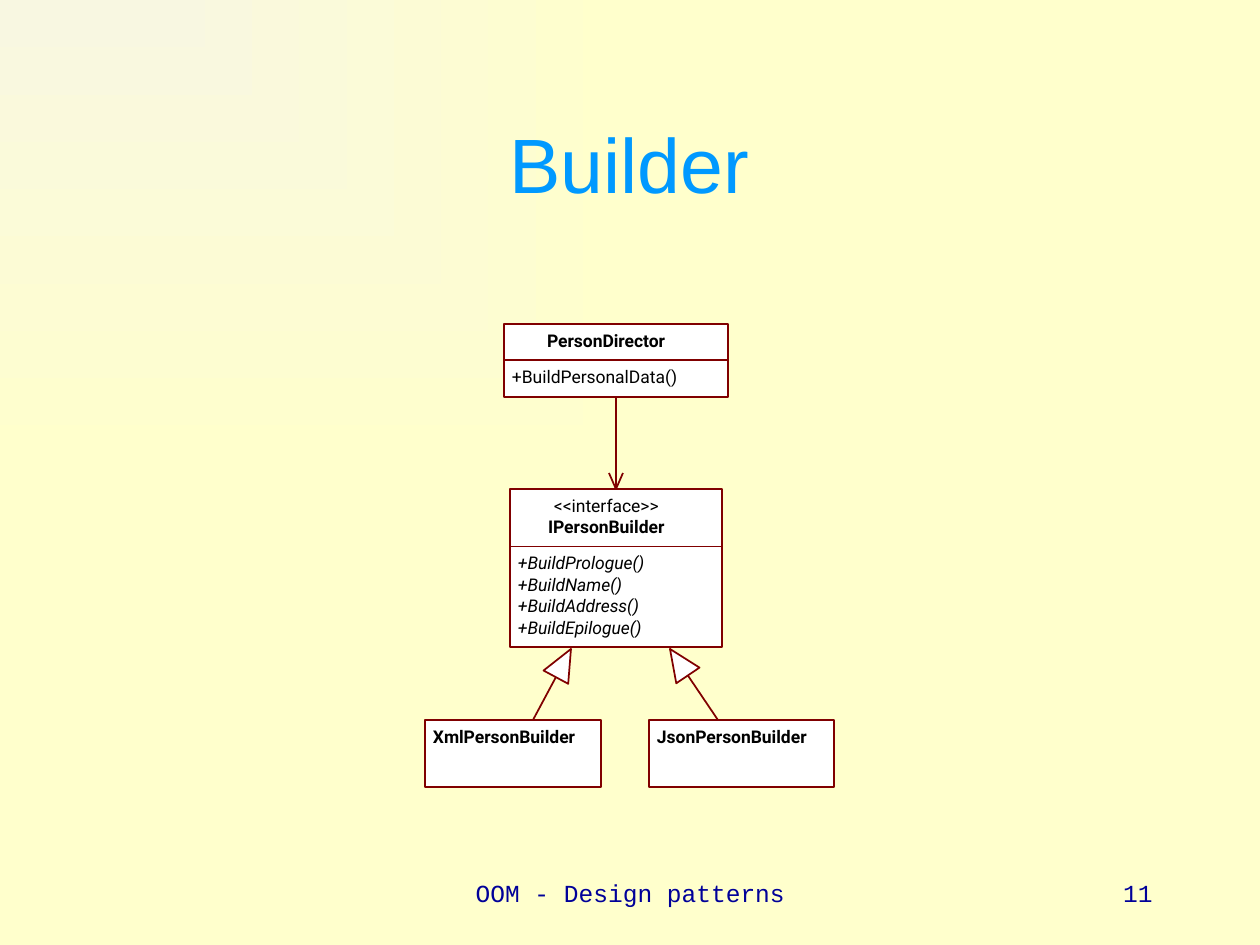
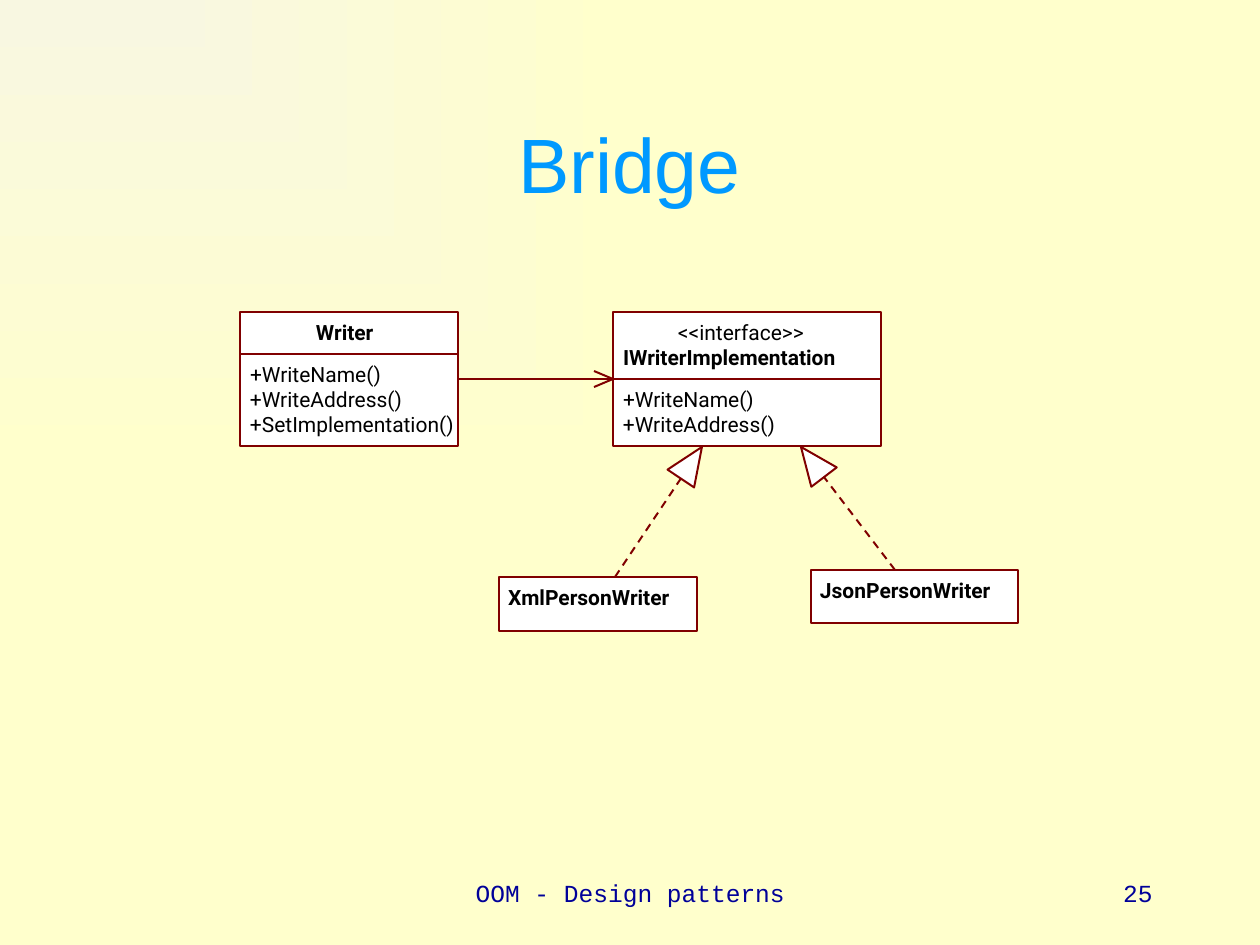
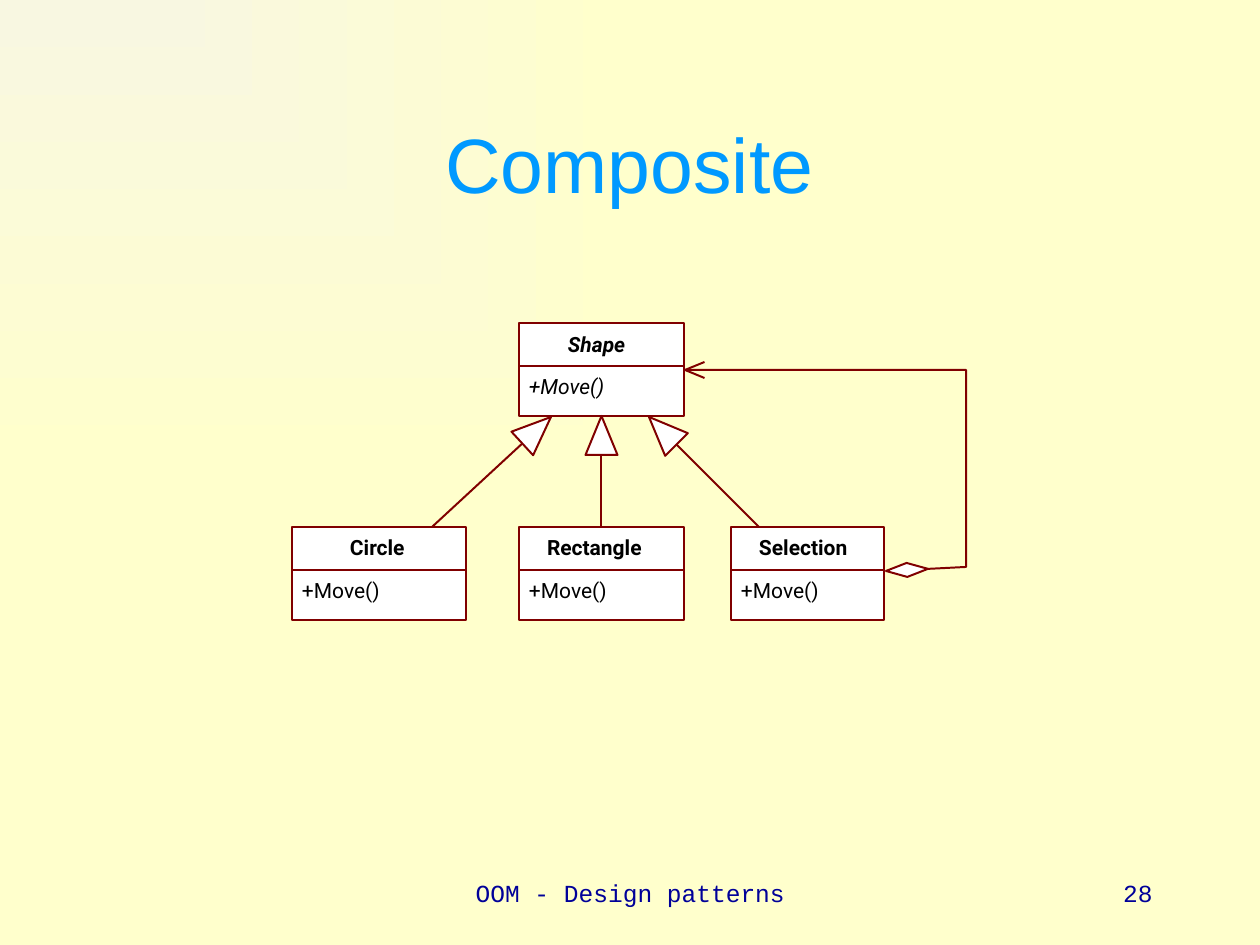
from dataclasses import dataclass
from math import hypot

from pptx import Presentation
from pptx.dml.color import RGBColor
from pptx.enum.dml import MSO_LINE
from pptx.enum.shapes import MSO_CONNECTOR, MSO_SHAPE
from pptx.enum.text import MSO_ANCHOR, MSO_AUTO_SIZE, PP_ALIGN
from pptx.oxml import parse_xml
from pptx.oxml.ns import nsdecls
from pptx.util import Pt

TOP, LEFT, BOTTOM, RIGHT = range(4)
FOOTER = "OOM - Design patterns"

SLIDES = [
    dict(
        title="Builder", number="11", size=10, line=1, pitch=21.5, text_h=26,
        inset=8, pad=6, head_h=36, triangle=(32, 14),
        classes=[
            dict(box=(504, 324, 224, 73), head=[("PersonDirector", 43, 159)],
                 methods=[("+BuildPersonalData()", 194)]),
            dict(box=(510, 489, 212, 158),
                 head=[("<<interface>>", 44, 140), ("IPersonBuilder", 38, 159)],
                 methods=[("+BuildPrologue()", 156), ("+BuildName()", 130),
                          ("+BuildAddress()", 149), ("+BuildEpilogue()", 154)],
                 italic=("methods",)),
            dict(box=(425, 720, 176, 67), head=[("XmlPersonBuilder", 8, 186)]),
            dict(box=(649, 720, 185, 67), head=[("JsonPersonBuilder", 8, 193)]),
        ],
        links=[
            ("uses", ("PersonDirector", BOTTOM), ("IPersonBuilder", TOP)),
            ("extends", (533, 720), (571, 649)),
            ("extends", (718, 720), (670, 649)),
        ],
    ),
    dict(
        title="Bridge", number="25", size=12, line=1.13, pitch=25, text_h=29,
        inset=10, pad=8, head_h=42, triangle=(38, 16),
        classes=[
            dict(box=(240, 312, 218, 134), head=[("Writer", 76, 81)],
                 methods=[("+WriteName()", 145), ("+WriteAddress()", 164),
                          ("+SetImplementation()", 217)]),
            dict(box=(613, 312, 268, 134),
                 head=[("<<interface>>", 65, 152), ("IWriterImplementation", 10, 258)],
                 methods=[("+WriteName()", 145), ("+WriteAddress()", 164)]),
            dict(box=(499, 577, 198, 54), head=[("XmlPersonWriter", 9, 193)]),
            dict(box=(811, 570, 207, 53), head=[("JsonPersonWriter", 9, 198)]),
        ],
        links=[
            ("uses", ("Writer", RIGHT), ("IWriterImplementation", LEFT)),
            ("implements", (615, 577), (702, 447)),
            ("implements", (895, 570), (801, 447)),
        ],
    ),
    dict(
        title="Composite", number="28", size=12, line=1.13, pitch=25, text_h=31,
        inset=10, pad=8, head_h=43, triangle=(39, 16),
        classes=[
            dict(box=(519, 323, 165, 93), head=[("Shape", 49, 84)],
                 methods=[("+Move()", 100)], italic=("head", "methods")),
            dict(box=(292, 527, 174, 93), head=[("Circle", 58, 78)],
                 methods=[("+Move()", 100)]),
            dict(box=(519, 527, 165, 93), head=[("Rectangle", 28, 131)],
                 methods=[("+Move()", 100)]),
            dict(box=(731, 527, 153, 93), head=[("Selection", 28, 121)],
                 methods=[("+Move()", 100)]),
        ],
        links=[
            ("extends", (432, 527), (551, 417)),
            ("extends", ("Rectangle", TOP), ("Shape", BOTTOM)),
            ("extends", (759, 527), (649, 417)),
            ("contains", (886, 571), (966, 567), (966, 370), (685, 370)),
        ],
    ),
]


@dataclass(frozen=True)
class Theme:
    glow: str = "F8F7E1"
    paper: str = "FFFFCC"
    title: str = "0099FF"
    footer: str = "000099"
    ink: str = "000000"
    box: str = "FFFFFF"
    line: str = "800000"
    title_font: str = "Arial"
    footer_font: str = "Courier New"
    uml_font: str = "Roboto"
    title_size: int = 44
    footer_size: int = 14


T = Theme()
TITLE_BOX = (94, 84, 1071, 158)
FOOTER_BOX = (431, 861, 399, 63)
NUMBER_BOX = (903, 861, 262, 63)
DIAMOND = (42, 7)


def px(n):
    return round(n * 914400 / 126)


def rgb(color):
    return RGBColor.from_string(color)


def set_text(sp, text, font, size, color, align, bold=False, italic=False):
    tf = sp.text_frame
    tf.text = text
    tf.word_wrap = True
    tf.auto_size = MSO_AUTO_SIZE.NONE
    p = tf.paragraphs[0]
    p.alignment = align
    f = p.runs[0].font
    f.name, f.size, f.bold, f.italic = font, Pt(size), bold, italic
    f.color.rgb = rgb(color)
    return tf


def add_footer(s, text, box, align):
    sp = s.shapes.add_textbox(*map(px, box))
    tf = set_text(sp, text, T.footer_font, T.footer_size, T.footer, align)
    tf.vertical_anchor = MSO_ANCHOR.MIDDLE


def set_background(master):
    master.background.fill.solid()
    bg = master.element.xpath(".//p:bgPr")[0]
    stops = "".join(
        f'<a:gs pos="{pos}"><a:srgbClr val="{color}"/></a:gs>'
        for pos, color in ((0, T.glow), (100000, T.paper)))
    bg.replace(bg[0], parse_xml(
        f'<a:gradFill {nsdecls("a")} rotWithShape="0"><a:gsLst>{stops}</a:gsLst>'
        '<a:path path="rect"><a:fillToRect r="100000" b="100000"/></a:path></a:gradFill>'))


def style_line(sp, width):
    sp.line.color.rgb = rgb(T.line)
    sp.line.width = Pt(width)


def style_shape(sp, width, filled=True):
    sp.shadow.inherit = False
    style_line(sp, width)
    if filled:
        sp.fill.solid()
        sp.fill.fore_color.rgb = rgb(T.box)
    else:
        sp.fill.background()


def add_line(s, start, end, width):
    c = s.shapes.add_connector(MSO_CONNECTOR.STRAIGHT, *map(px, (*start, *end)))
    style_line(c, width)
    c.element.spPr.append(parse_xml(f'<a:effectLst {nsdecls("a")}/>'))
    return c


def add_outline(s, points, width, closed):
    first, *rest = [(px(x), px(y)) for x, y in points]
    builder = s.shapes.build_freeform(*first, scale=1.0)
    builder.add_line_segments(rest, close=closed)
    style_shape(builder.convert_to_shape(), width, closed)


def along(tip, toward, distance, side=0):
    dx, dy = toward[0] - tip[0], toward[1] - tip[1]
    d = hypot(dx, dy)
    return (tip[0] + (dx * distance - dy * side) / d,
            tip[1] + (dy * distance + dx * side) / d)


def add_head(s, tip, toward, length, half, width, closed):
    points = [along(tip, toward, length, half), tip, along(tip, toward, length, -half)]
    add_outline(s, points, width, closed)


def add_diamond(s, tip, toward, width):
    length, half = DIAMOND
    mid = length / 2
    add_outline(s, [tip, along(tip, toward, mid, half), along(tip, toward, length),
                    along(tip, toward, mid, -half)], width, True)


def add_class(s, d, cls):
    x, y, w, h = cls["box"]
    head, methods = cls["head"], cls.get("methods", [])
    italic = cls.get("italic", ())
    sp = s.shapes.add_shape(MSO_SHAPE.RECTANGLE, *map(px, cls["box"]))
    style_shape(sp, d["line"])
    divider = y + d["head_h"] + (len(head) - 1) * d["pitch"]
    rows = [(text, dx, tw, y + d["pad"] + i * d["pitch"],
             not text.startswith("<<"), "head" in italic)
            for i, (text, dx, tw) in enumerate(head)]
    rows += [(text, d["inset"], tw, divider + d["pad"] + i * d["pitch"],
              False, "methods" in italic)
             for i, (text, tw) in enumerate(methods)]
    for text, dx, tw, ty, bold, slanted in rows:
        box = s.shapes.add_textbox(px(x + dx), px(ty), px(tw), px(d["text_h"]))
        tf = set_text(box, text, T.uml_font, d["size"], T.ink, PP_ALIGN.LEFT, bold, slanted)
        tf.margin_left = tf.margin_right = tf.margin_top = tf.margin_bottom = 0
    if methods:
        add_line(s, (x, divider), (x + w + 1, divider), d["line"])
    return head[-1][0], (sp, cls["box"])


def locate(end, nodes):
    if end[0] not in nodes:
        return end
    x, y, w, h = nodes[end[0]][1]
    return {TOP: (x + w / 2, y), LEFT: (x, y + h / 2),
            BOTTOM: (x + w / 2, y + h), RIGHT: (x + w, y + h / 2)}[end[1]]


def add_link(s, d, nodes, kind, *ends):
    points = [locate(end, nodes) for end in ends]
    length, half = d["triangle"]
    width = d["line"]
    if len(points) > 2:
        add_outline(s, points, width, False)
    else:
        c = add_line(s, *points, width)
        if kind == "implements":
            c.line.dash_style = MSO_LINE.DASH
        for end, connect in zip(ends, (c.begin_connect, c.end_connect)):
            if end[0] in nodes:
                connect(nodes[end[0]][0], end[1])
    if kind == "contains":
        add_diamond(s, points[0], points[1], width)
    if kind in ("uses", "contains"):
        add_head(s, points[-1], points[-2], length / 2, half / 2, width, False)
    else:
        add_head(s, points[-1], points[-2], length, half, width, True)


def add_slide(prs, d):
    s = prs.slides.add_slide(prs.slide_layouts[5])
    title = s.shapes.title
    title.left, title.top, title.width, title.height = map(px, TITLE_BOX)
    tf = set_text(title, d["title"], T.title_font, T.title_size, T.title, PP_ALIGN.CENTER)
    tf.vertical_anchor = MSO_ANCHOR.MIDDLE
    add_footer(s, FOOTER, FOOTER_BOX, PP_ALIGN.CENTER)
    nodes = dict(add_class(s, d, cls) for cls in d["classes"])
    for link in d["links"]:
        add_link(s, d, nodes, *link)
    add_footer(s, d["number"], NUMBER_BOX, PP_ALIGN.RIGHT)


def main():
    prs = Presentation()
    prs.slide_width, prs.slide_height = px(1260), px(945)
    set_background(prs.slide_master)
    for d in SLIDES:
        add_slide(prs, d)
    prs.save("out.pptx")


if __name__ == "__main__":
    main()
